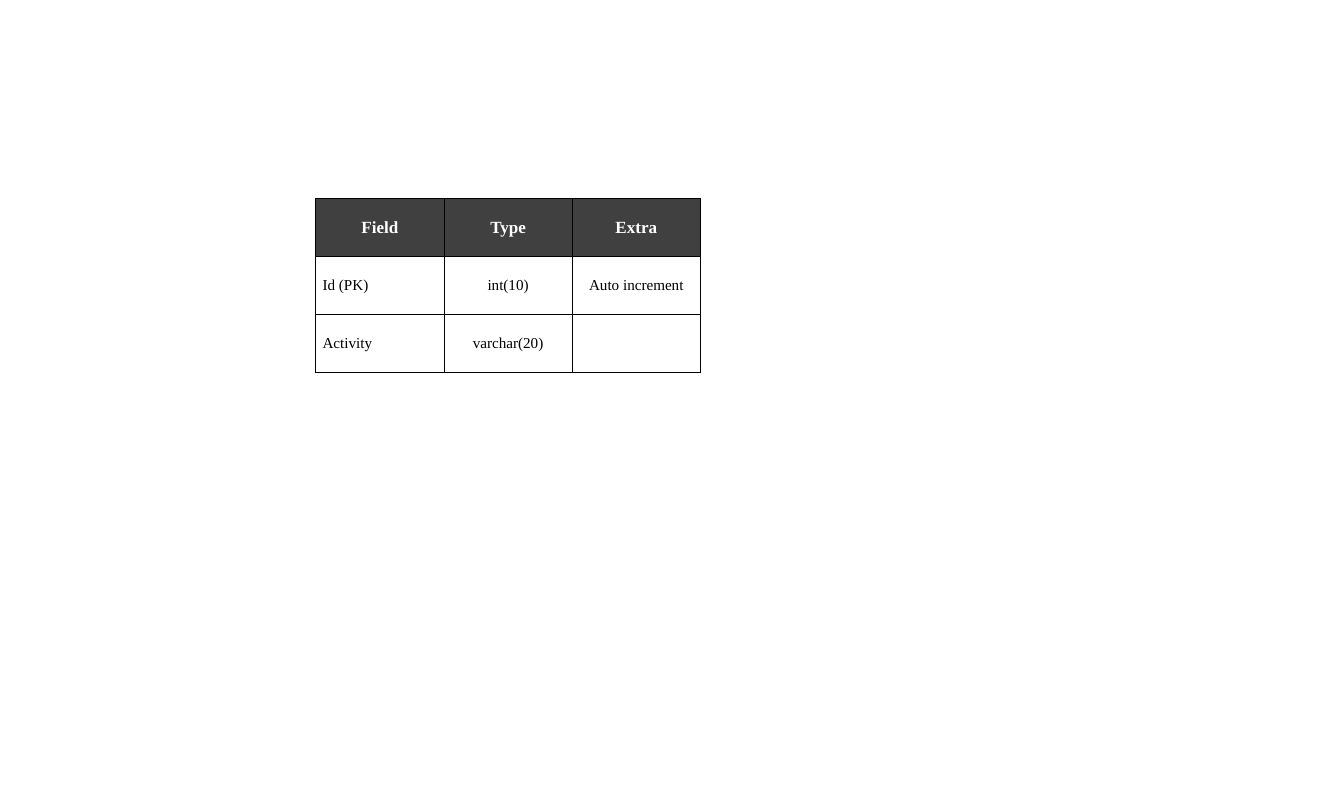
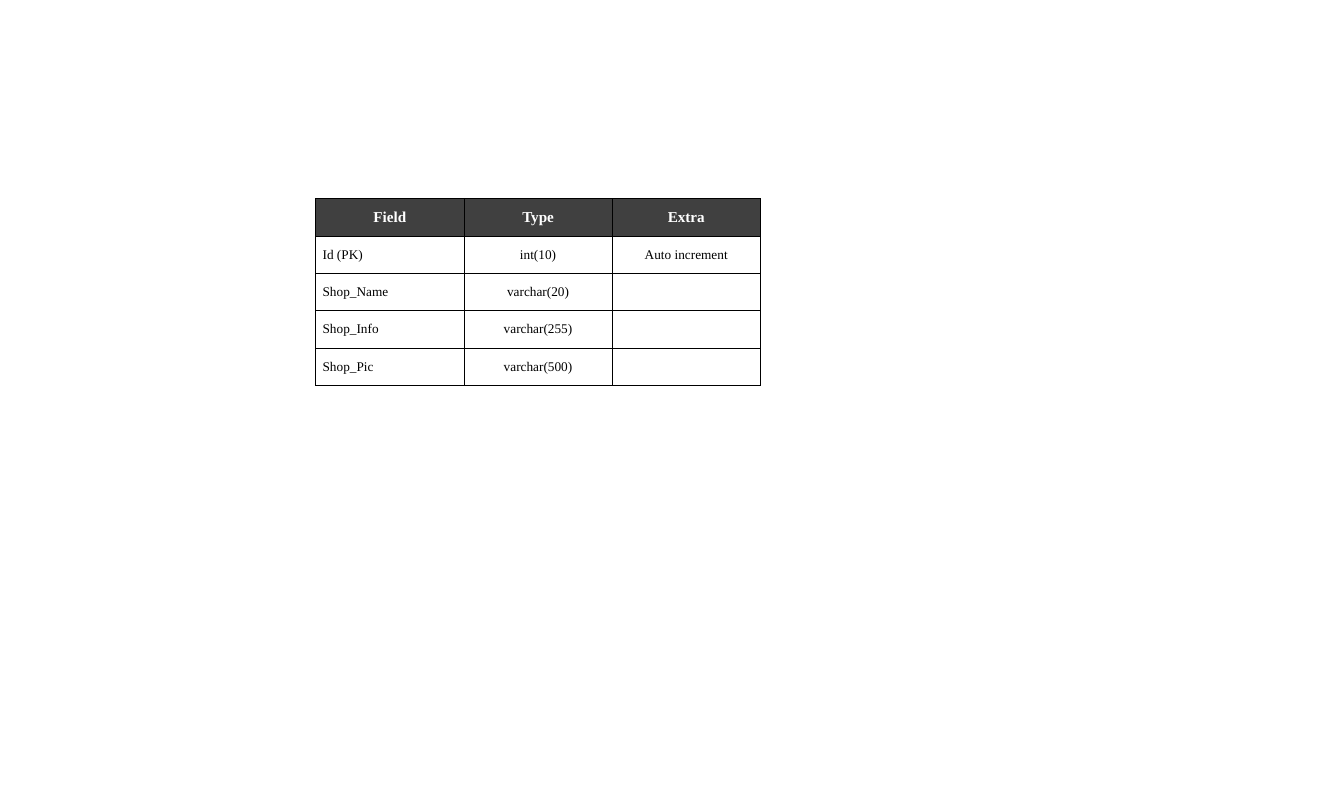
from lxml import etree
from pptx import Presentation
from pptx.dml.color import RGBColor
from pptx.enum.text import MSO_ANCHOR, PP_ALIGN
from pptx.oxml.ns import qn
from pptx.util import Pt

LEFT, CENTER = PP_ALIGN.LEFT, PP_ALIGN.CENTER
MIDDLE = MSO_ANCHOR.MIDDLE
EMU_PER_PIXEL = 914400 / 68.3
SLIDE_SIZE = (1345, 807)
BLANK_LAYOUT = 6
FONT = "Times New Roman"
COLORS = {"header": "404040", "header_text": "FFFFFF",
          "body": "FFFFFF", "body_text": "000000", "border": "000000"}
HEADINGS = ("Field", "Type", "Extra")
ID_FIELD = ("Id (PK)", "int(10)", "Auto increment")
SCHEMAS = [
    {"box": (316, 199, 385, 174), "header_size": 18, "body_size": 16,
     "fields": [ID_FIELD, ("Activity", "varchar(20)", "")]},
    {"box": (316, 199, 445, 187), "header_size": 16, "body_size": 14,
     "fields": [ID_FIELD,
                ("Shop_Name", "varchar(20)", ""),
                ("Shop_Info", "varchar(255)", ""),
                ("Shop_Pic", "varchar(500)", "")]},
]


def px(pixels):
    """Turn pixels into EMU."""
    return round(pixels * EMU_PER_PIXEL)


def rgb(role):
    """Return the colour of a role."""
    return RGBColor.from_string(COLORS[role])


def add_borders(cell):
    """Draw a thin line on all four sides of a cell."""
    properties = cell._tc.get_or_add_tcPr()
    for side in ("lnL", "lnR", "lnT", "lnB"):
        line = etree.SubElement(properties, qn(f"a:{side}"), w=str(Pt(1)))
        fill = etree.SubElement(line, qn("a:solidFill"))
        etree.SubElement(fill, qn("a:srgbClr"), val=COLORS["border"])


def format_cell(cell, text, role, size, alignment):
    """Write one cell in the style of its role."""
    add_borders(cell)
    cell.fill.solid()
    cell.fill.fore_color.rgb = rgb(role)
    cell.vertical_anchor = MIDDLE
    cell.text = text
    paragraph = cell.text_frame.paragraphs[0]
    paragraph.alignment = alignment
    font_format = {"name": FONT, "size": Pt(size), "bold": role == "header"}
    for attribute, value in font_format.items():
        setattr(paragraph.font, attribute, value)
    paragraph.font.color.rgb = rgb(f"{role}_text")


def add_schema_table(slide, box, header_size, body_size, fields):
    """Fill the box with an even grid of headings and fields."""
    records = [HEADINGS, *fields]
    left, top, width, height = map(px, box)
    table = slide.shapes.add_table(
        len(records), len(HEADINGS), left, top, width, height).table
    table.horz_banding = False
    for row_index, record in enumerate(records):
        is_header = row_index == 0
        role, size = ("header", header_size) if is_header else ("body", body_size)
        for column_index, text in enumerate(record):
            alignment = CENTER if is_header or column_index else LEFT
            format_cell(table.cell(row_index, column_index),
                        text, role, size, alignment)


def build_deck():
    """Build one slide per schema and save the deck."""
    deck = Presentation()
    deck.slide_width, deck.slide_height = map(px, SLIDE_SIZE)
    for schema in SCHEMAS:
        slide = deck.slides.add_slide(deck.slide_layouts[BLANK_LAYOUT])
        add_schema_table(slide, **schema)
    deck.save("out.pptx")


build_deck()
